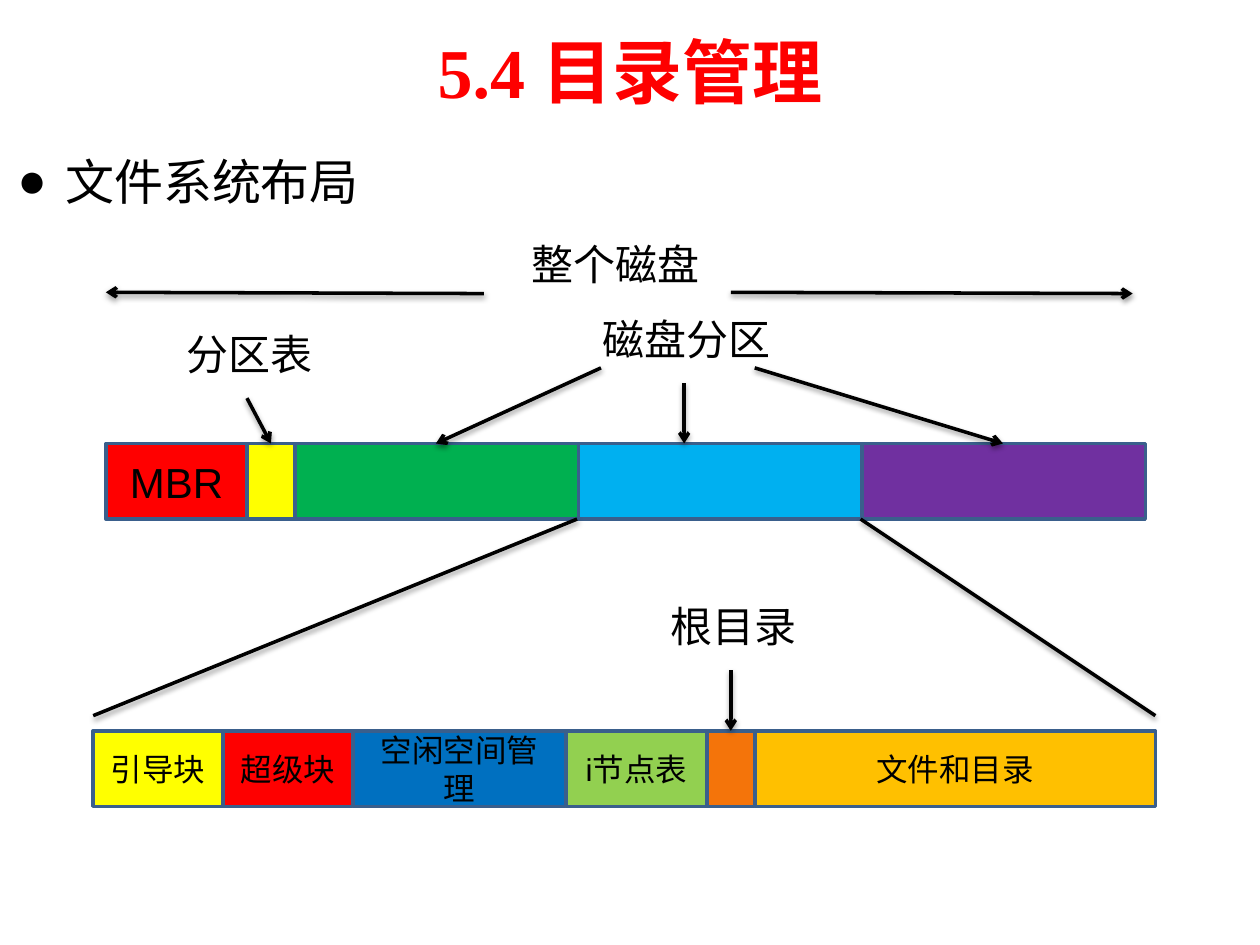
from lxml import etree
from pptx import Presentation
from pptx.dml.color import RGBColor
from pptx.enum import shapes, text
from pptx.oxml import ns
from pptx.util import Inches, Pt

HUES = {
    "black": "000000", "edge": "3A5F8C", "title": "FE0000", "red": "FF0000",
    "yellow": "FFFF00", "green": "00B050", "sky": "00B0F0", "purple": "7030A0",
    "blue": "0070C0", "lime": "92D050", "orange": "F4740A", "gold": "FFC000",
}
SHADOW = (
    f'<a:effectLst {ns.nsdecls("a")}><a:outerShdw blurRad="39370" dist="20320" '
    'dir="5400000" rotWithShape="0"><a:srgbClr val="000000">'
    '<a:alpha val="38000"/></a:srgbClr></a:outerShdw></a:effectLst>'
)


def color(name):
    return RGBColor.from_string(HUES[name])


def write(shape, words, size, font="Arial", hue="black", bold=False):
    para = shape.text_frame.paragraphs[0]
    run = para.add_run()
    run.text = words
    run.font.size = Pt(size)
    run.font.name = font
    run.font.bold = bold
    run.font.color.rgb = color(hue)
    return para


deck = Presentation()
deck.slide_width, deck.slide_height = Inches(10), Inches(7.5)
slide = deck.slides.add_slide(deck.slide_layouts[6])
items = slide.shapes

title = items.add_textbox(Inches(0.5), Inches(0.05), Inches(9), Inches(1.02))
title.text_frame.word_wrap = True
title.text_frame.vertical_anchor = text.MSO_ANCHOR.MIDDLE
para = write(title, "5.4 目录管理", 40, "Times New Roman", "title", True)
para.alignment = text.PP_ALIGN.CENTER

body = items.add_textbox(Inches(0.04), Inches(1.15), Inches(9.96), Inches(5.43))
body.text_frame.word_wrap = True
para = write(body, "文件系统布局", 28, "Times New Roman")
para.space_before = Pt(2.8)
props = para._p.get_or_add_pPr()
props.set("marL", str(Inches(0.38)))
props.set("indent", str(-Inches(0.38)))
etree.SubElement(props, ns.qn("a:buFont")).set("typeface", "Arial")
etree.SubElement(props, ns.qn("a:buChar")).set("char", "●")

disk = [
    (1.12, "red", "MBR"), (0.38, "yellow", ""), (2.25, "green", ""),
    (2.25, "sky", ""), (2.25, "purple", ""),
]
part = [
    (1.03, "yellow", "引导块"), (1.03, "title", "超级块"),
    (1.69, "blue", "空闲空间管理"), (1.12, "lime", "i节点表"),
    (0.38, "orange", ""), (3.18, "gold", "文件和目录"),
]
for left, top, size, cells in [(0.84, 3.52, 24, disk), (0.74, 5.8, 18, part)]:
    for width, hue, words in cells:
        box = items.add_shape(
            shapes.MSO_SHAPE.RECTANGLE,
            Inches(left), Inches(top), Inches(width), Inches(0.6),
        )
        box.shadow.inherit = False
        box.fill.solid()
        box.fill.fore_color.rgb = color(hue)
        box.line.color.rgb = color("edge")
        box.line.width = Pt(2)
        if words:
            box.text_frame.vertical_anchor = text.MSO_ANCHOR.MIDDLE
            write(box, words, size).alignment = text.PP_ALIGN.CENTER
        left += width

lines = [
    (4.58, 4.12, 0.74, 5.68, False), (6.83, 4.12, 9.17, 5.68, False),
    (3.84, 2.33, 0.84, 2.32, True), (5.8, 2.32, 8.99, 2.33, True),
    (1.96, 3.16, 2.15, 3.52, True), (4.77, 2.92, 3.46, 3.52, True),
    (5.43, 3.04, 5.43, 3.52, True), (5.99, 2.92, 7.96, 3.52, True),
    (5.8, 5.32, 5.8, 5.8, True),
]
for *ends, head in lines:
    line = items.add_connector(
        shapes.MSO_CONNECTOR.STRAIGHT, *[Inches(end) for end in ends]
    )
    line.line.color.rgb = color("black")
    line.line.width = Pt(2)
    if head:
        tail = etree.SubElement(line.line._get_or_add_ln(), ns.qn("a:tailEnd"))
        tail.set("type", "arrow")
    line._element.spPr.append(etree.fromstring(SHADOW))

labels = [
    (4.12, 1.84, 1.55, "整个磁盘"), (4.68, 2.44, 1.55, "磁盘分区"),
    (1.38, 2.56, 1.21, "分区表"), (5.22, 4.72, 1.21, "根目录"),
]
for left, top, width, words in labels:
    label = items.add_textbox(Inches(left), Inches(top), Inches(width), Inches(0.5))
    label.text_frame.word_wrap = False
    label.text_frame.auto_size = text.MSO_AUTO_SIZE.SHAPE_TO_FIT_TEXT
    write(label, words, 24)

deck.save("out.pptx")
